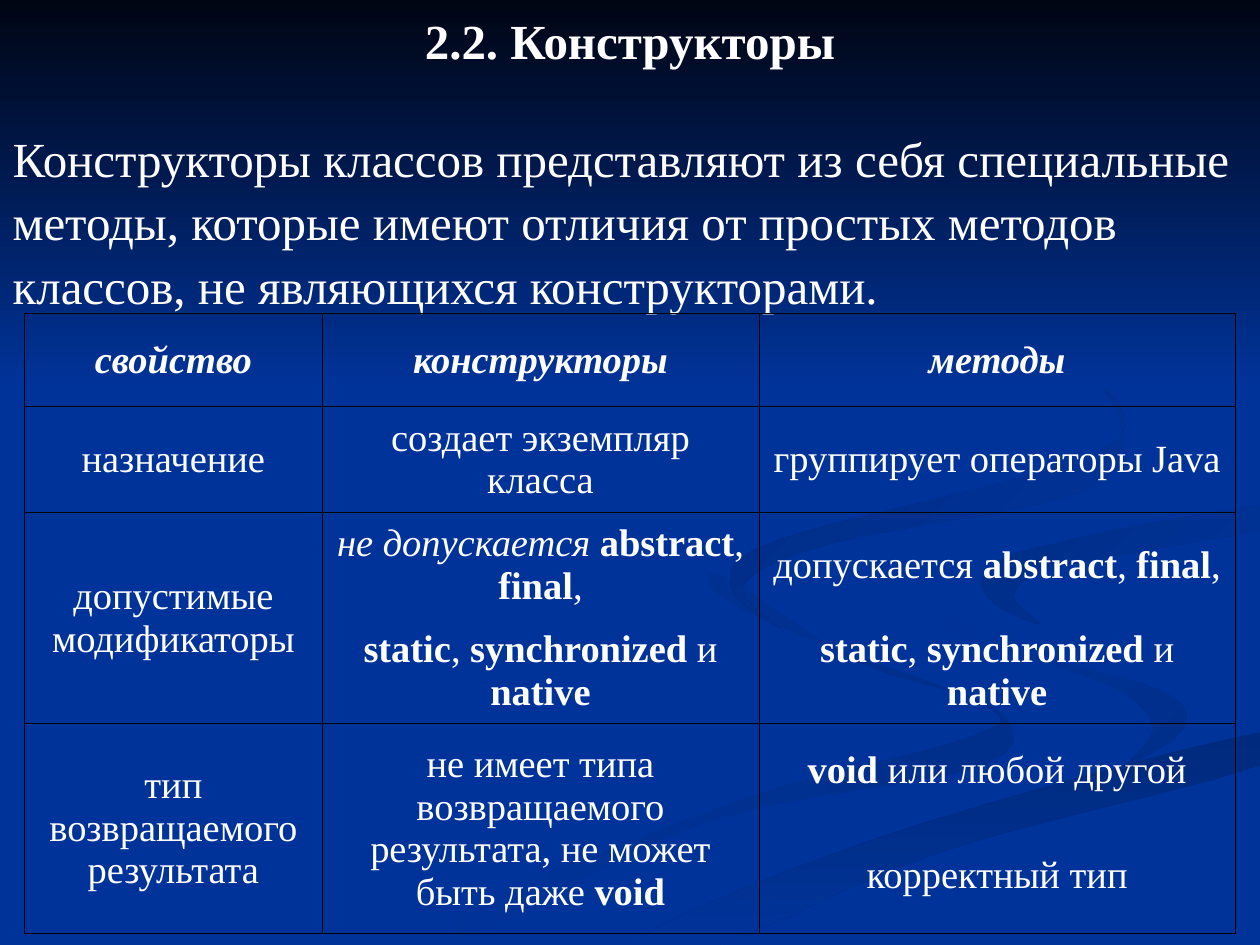
import collections
import dataclasses

import lxml.etree
import pptx
import pptx.dml.color
import pptx.enum.shapes
import pptx.enum.text
import pptx.oxml.ns
import pptx.util

Cm, Pt, qn = pptx.util.Cm, pptx.util.Pt, pptx.oxml.ns.qn
Align, Anchor = pptx.enum.text.PP_ALIGN, pptx.enum.text.MSO_ANCHOR
Box = collections.namedtuple("Box", "left top width height")


@dataclasses.dataclass(frozen=True)
class Theme:
    font: str = "Times New Roman"
    heading_size: float = 28
    table_size: float = 22
    text: str = "FFFFFF"
    ground: str = "003399"
    sky: str = "000514"
    border: str = "000000"
    border_width: float = 0.45
    line_spacing: float = 1.08


THEME = Theme()

# Each wave: gradient start, gradient end, clockwise angle, outline in percent of the page.
WAVES = [
    (THEME.ground, "002E8B", 0, [
        (57.5, 61), (57, 63), (65, 68), (78, 74.5), (77, 78), (58, 85), (30, 100),
        (36, 100), (56, 87), (78, 81), (79, 75), (68, 70)]),
    (THEME.ground, "002E8B", 45, [
        (72.4, 62), (76, 67), (88, 72.5), (91.5, 77), (89.4, 81), (94, 77), (92, 73), (79, 68)]),
    ("002A7D", THEME.ground, 90, [
        (50, 100), (57, 100), (75, 90), (100, 81), (100, 77.5), (76, 86), (60, 93.5)]),
    ("002D86", THEME.ground, 45, [
        (78, 61), (79, 64), (82.5, 66), (80.5, 63), (84, 60), (100, 56), (100, 53.5), (82, 58)]),
    ("002B82", THEME.ground, 45, [
        (76, 31), (87, 40), (87, 48), (62, 57), (58, 62), (62, 66.5), (59, 62),
        (66, 57.5), (86, 52), (89, 45), (84, 36)]),
]

# Runs are plain text or (text, style); None continues the cell above.
SEPARATOR = ", "
STATIC_LIST = [("static", "b"), SEPARATOR, ("synchronized", "b"), " и ", ("native", "b")]
ABSTRACT_LIST = [("abstract", "b"), SEPARATOR, ("final", "b"), ","]
ROWS = [
    [[("свойство", "bi")], [("конструкторы", "bi")], [("методы", "bi")]],
    [["назначение"], ["создает экземпляр класса"], ["группирует операторы Java"]],
    [["допустимые модификаторы"], [("не допускается ", "i"), *ABSTRACT_LIST],
     ["допускается ", *ABSTRACT_LIST]],
    [None, STATIC_LIST, STATIC_LIST],
    [["тип возвращаемого результата"],
     ["не имеет типа возвращаемого результата, не может быть даже ", ("void", "b")],
     [("void", "b"), " или любой другой"]],
    [None, None, ["корректный тип"]],
]
COLUMN_WIDTHS = [5.99, 8.81, 9.6]
ROW_HEIGHTS = [1.88, 2.13, 2.13, 2.13, 1.88, 2.34]
CONTINUED_ROWS = (3, 5)


def color(value):
    return pptx.dml.color.RGBColor.from_string(value)


def set_values(target, values):
    for name, value in values.items():
        setattr(target, name, value)


def add_span(para, text, size, style=""):
    span = para.add_run()
    span.text = text
    set_values(span.font, {"name": THEME.font, "size": Pt(size),
                           "bold": "b" in style, "italic": "i" in style})
    span.font.color.rgb = color(THEME.text)


def paint_gradient(shape, start, end, angle):
    """Fill without outline or shadow; the angle runs clockwise."""
    shape.shadow.inherit = False
    shape.line.fill.background()
    shape.fill.gradient()
    shape.fill.gradient_angle = (360 - angle) % 360
    for stop, value in zip(shape.fill.gradient_stops, (start, end)):
        stop.color.rgb = color(value)


def smooth_outline(points, steps=5):
    """Closed Catmull-Rom curve through the points, kept inside the page."""
    outline = []
    for index, point in enumerate(points):
        before, after = points[index - 1], points[(index + 1) % len(points)]
        beyond = points[(index + 2) % len(points)]
        for step in range(steps):
            t = step / steps
            outline.append(tuple(
                min(100, b + t * (c - a + t * (2 * a - 5 * b + 4 * c - d
                                               + t * (3 * (b - c) + d - a))) / 2)
                for a, b, c, d in zip(before, point, after, beyond)))
    return outline


def add_backdrop(page, box):
    page.background.fill.solid()
    page.background.fill.fore_color.rgb = color(THEME.ground)
    for start, end, angle, points in WAVES:
        outline = [(x * box.width / 100, y * box.height / 100)
                   for x, y in smooth_outline(points)]
        builder = page.shapes.build_freeform(*outline[0])
        builder.add_line_segments(outline[1:], close=True)
        paint_gradient(builder.convert_to_shape(box.left, box.top), start, end, angle)
    sky = page.shapes.add_shape(pptx.enum.shapes.MSO_SHAPE.RECTANGLE,
                                box.left, box.top, box.width, Cm(7.82))
    paint_gradient(sky, THEME.sky, THEME.ground, 90)


def fill_placeholder(holder, box, text, align, style=""):
    """Format a placeholder and bring it in front of the backdrop."""
    holder.element.getparent().append(holder.element)
    set_values(holder, box._asdict())
    frame = holder.text_frame
    set_values(frame, {"word_wrap": True, "vertical_anchor": Anchor.TOP,
                       "auto_size": pptx.enum.text.MSO_AUTO_SIZE.NONE})
    para = frame.paragraphs[0]
    set_values(para, {"alignment": align, "line_spacing": THEME.line_spacing,
                      "space_before": Pt(0)})
    add_span(para, text, THEME.heading_size, style)
    properties = next(holder.element.iter(qn("a:pPr")))
    for name in ("marL", "indent"):
        properties.set(name, "0")
    lxml.etree.SubElement(properties, qn("a:buNone"))


def add_heading(page, box):
    title_height, body_top = Cm(1.7), Cm(2.36)
    fill_placeholder(page.shapes.title, box._replace(height=title_height),
                     "2.2. Конструкторы", Align.CENTER, "b")
    fill_placeholder(page.placeholders[1],
                     box._replace(top=box.top + body_top, height=box.height - body_top),
                     "Конструкторы классов представляют из себя специальные методы, которые "
                     "имеют отличия от простых методов классов, не являющихся конструкторами.",
                     Align.LEFT)


def set_borders(properties, hidden):
    for index, side in enumerate(("lnL", "lnR", "lnT", "lnB")):
        line = lxml.etree.Element(qn(f"a:{side}"), w=str(Pt(THEME.border_width)))
        if side in hidden:
            lxml.etree.SubElement(line, qn("a:noFill"))
        else:
            fill = lxml.etree.SubElement(line, qn("a:solidFill"))
            lxml.etree.SubElement(fill, qn("a:srgbClr"), val=THEME.border)
        properties.insert(index, line)


def add_comparison(page, box):
    frame = page.shapes.add_table(len(ROWS), len(COLUMN_WIDTHS), *box)
    table = frame.table
    set_values(table, {"first_row": False, "horz_banding": False})
    for column, width in zip(table.columns, COLUMN_WIDTHS):
        column.width = Cm(width)
    for row, height in zip(table.rows, ROW_HEIGHTS):
        row.height = Cm(height)
    for index, element in enumerate(frame.element.iter(qn("a:tc"))):
        row, column = divmod(index, len(COLUMN_WIDTHS))
        cell, spans = table.cell(row, column), ROWS[row][column]
        merged = row + 1 in CONTINUED_ROWS and ROWS[row + 1][column] is None
        if merged:
            cell.merge(table.cell(row + 1, column))
        cell.fill.background()
        hidden = {"lnT"} if row in CONTINUED_ROWS else set()
        if row + 1 in CONTINUED_ROWS and not merged:
            hidden.add("lnB")
        set_borders(element.get_or_add_tcPr(), hidden)
        if spans is None:
            continue
        cell.vertical_anchor = Anchor.MIDDLE
        para = cell.text_frame.paragraphs[0]
        para.alignment = Align.CENTER
        for span in spans:
            text, style = (span, "") if isinstance(span, str) else span
            add_span(para, text, THEME.table_size, style)


def main():
    deck = pptx.Presentation()
    set_values(deck, {"slide_width": Cm(25.4), "slide_height": Cm(19.05)})
    page = deck.slides.add_slide(deck.slide_layouts[1])
    add_backdrop(page, Box(0, 0, deck.slide_width, deck.slide_height))
    add_heading(page, Box(0, 0, deck.slide_width, Cm(6.2)))
    add_comparison(page, Box(Cm(0.5), Cm(6.32), Cm(24.4), Cm(12.49)))
    deck.save("out.pptx")


if __name__ == "__main__":
    main()
